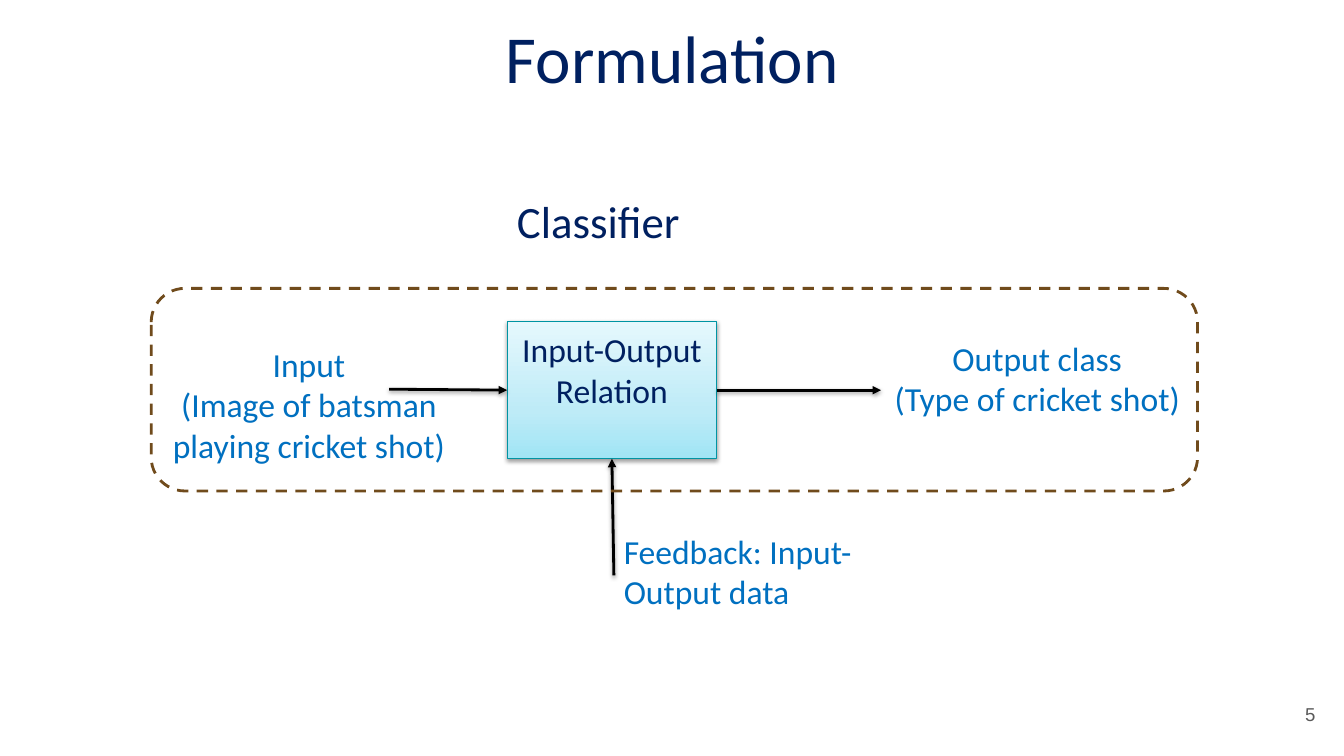
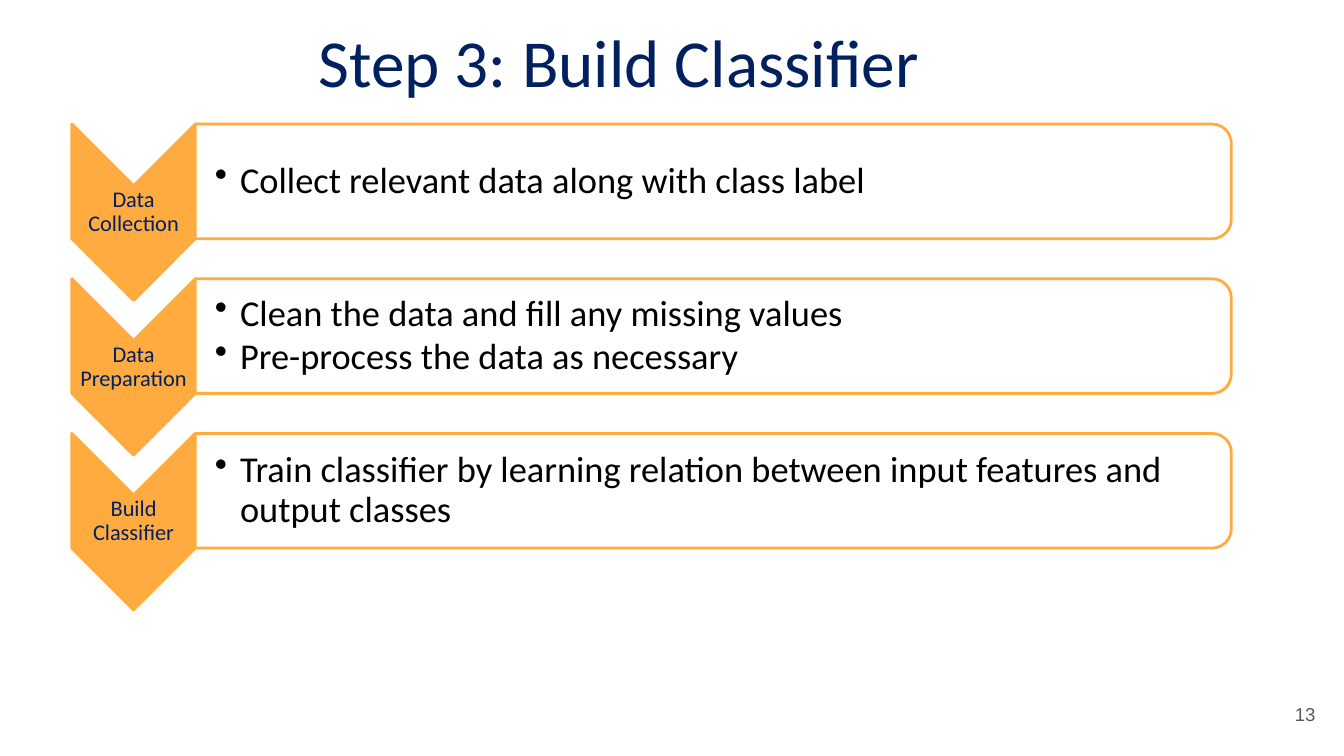
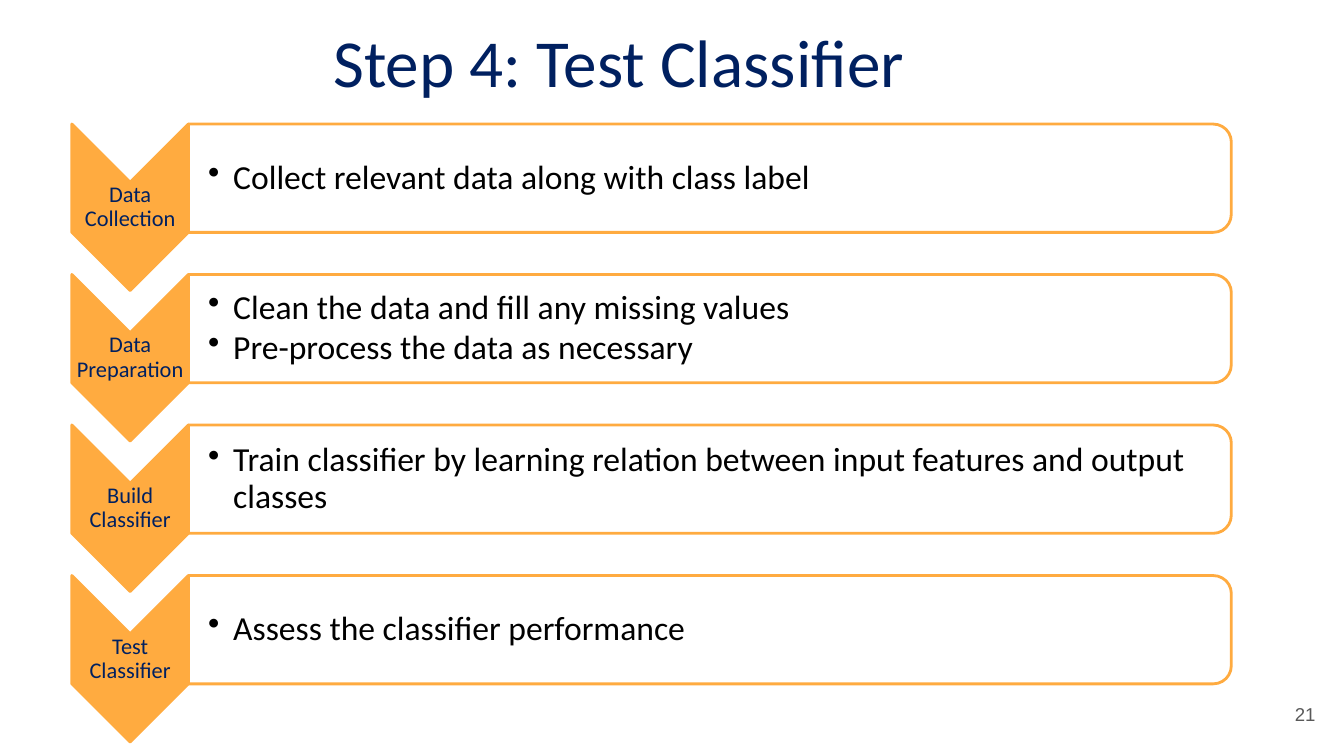
from copy import deepcopy
from dataclasses import dataclass

from lxml.etree import SubElement
from pptx import Presentation
from pptx.dml.color import RGBColor
from pptx.enum.dml import MSO_LINE
from pptx.enum.shapes import MSO_CONNECTOR, MSO_SHAPE
from pptx.enum.text import MSO_ANCHOR, PP_ALIGN
from pptx.oxml.ns import qn
from pptx.util import Pt


@dataclass(frozen=True)
class Theme:
    # Colours
    navy: str = "002060"
    blue: str = "0070C0"
    black: str = "000000"
    white: str = "FFFFFF"
    grey: str = "595959"
    orange: str = "FFAB40"
    brown: str = "704B1C"
    teal: str = "0094A3"
    gradient: tuple = ((0, "A0E5F5"), (0.35, "BEEBF7"), (1, "E5F8FD"))
    # Fonts and type sizes
    font: str = "Calibri"
    number_font: str = "Arial"
    title_size: float = 48
    heading_size: float = 32
    text_size: float = 24
    label_size: float = 16
    number_size: float = 13.3
    # Lines
    line_width: float = 2
    thin_line: float = 0.75


THEME = Theme()
LEFT, CENTER, RIGHT = PP_ALIGN.LEFT, PP_ALIGN.CENTER, PP_ALIGN.RIGHT
DEFAULT_INSETS = (7.2, 3.6, 7.2, 3.6)


def color(value):
    return RGBColor.from_string(value)


class Deck:
    """Holds the presentation, its style and the current slide."""

    def __init__(self, theme):
        self.theme = theme
        self.presentation = Presentation()
        self.presentation.slide_width = Pt(960)
        self.presentation.slide_height = Pt(540)
        self.slide = None

    def new_slide(self, title, number, left=116.6, top=10.8):
        theme = self.theme
        self.slide = self.presentation.slides.add_slide(self.presentation.slide_layouts[6])
        self.text((889.2, 489.6, 57.6, 41), [str(number)], theme.number_size, theme.grey,
                  align=RIGHT, font=theme.number_font, middle=True, insets=(7.2,) * 4)
        self.text((left, top, 651, 65.8), [title], theme.title_size, theme.navy)

    def set_text(self, shape, lines, size, text_color, align=CENTER, font=None, middle=False,
                 wrap=True, insets=DEFAULT_INSETS, bullets=False, spacing=None, after=0):
        frame = shape.text_frame
        frame.word_wrap = wrap
        frame.vertical_anchor = MSO_ANCHOR.MIDDLE if middle else MSO_ANCHOR.TOP
        frame.margin_left, frame.margin_top, frame.margin_right, frame.margin_bottom = map(Pt, insets)
        for index, line in enumerate(lines):
            paragraph = frame.add_paragraph() if index else frame.paragraphs[0]
            if bullets:
                self.bullet(paragraph)
            paragraph.alignment = align
            if spacing:
                paragraph.line_spacing = spacing
                paragraph.space_after = Pt(after)
            run = paragraph.add_run()
            run.text = line
            run.font.name = font or self.theme.font
            run.font.size = Pt(size)
            run.font.color.rgb = color(text_color)

    def bullet(self, paragraph):
        properties = paragraph._p.get_or_add_pPr()
        properties.set("marL", str(Pt(18)))
        properties.set("indent", str(-Pt(18)))
        bullet_color = SubElement(properties, qn("a:buClr"))
        SubElement(bullet_color, qn("a:srgbClr"), val=self.theme.black)
        SubElement(properties, qn("a:buChar"), char="•")

    def text(self, box, lines, size, text_color, **options):
        shape = self.slide.shapes.add_textbox(*map(Pt, box))
        self.set_text(shape, lines, size, text_color, **options)

    def shape(self, kind, box, line, fill=None, width=None):
        shape = self.slide.shapes.add_shape(kind, *map(Pt, box))
        shape.shadow.inherit = False
        if fill:
            shape.fill.solid()
            shape.fill.fore_color.rgb = color(fill)
        else:
            shape.fill.background()
        shape.line.color.rgb = color(line)
        shape.line.width = Pt(width or self.theme.line_width)
        return shape

    def turned_shape(self, kind, box, fill):
        """Draws a shape turned by 90 degrees that covers the given box."""
        left, top, width, height = box
        shift = (width - height) / 2
        shape = self.shape(kind, (left + shift, top - shift, height, width), self.theme.orange, fill)
        shape.rotation = 90
        return shape

    def gradient(self, shape):
        shape.fill.gradient()
        shape.fill.gradient_angle = 90
        stop_list = shape._element.spPr.find(qn("a:gradFill")).find(qn("a:gsLst"))
        stop_list.append(deepcopy(stop_list[0]))
        for stop, (position, value) in zip(shape.fill.gradient_stops, self.theme.gradient):
            stop.position = position
            stop.color.rgb = color(value)

    def soft_shadow(self, shape):
        properties = shape._element.spPr
        effects = properties.find(qn("a:effectLst"))
        if effects is None:
            effects = SubElement(properties, qn("a:effectLst"))
        shadow = SubElement(effects, qn("a:outerShdw"), blurRad=str(Pt(3.1)),
                            dist=str(Pt(1.6)), dir="5400000", rotWithShape="0")
        shadow_color = SubElement(shadow, qn("a:srgbClr"), val=self.theme.black)
        SubElement(shadow_color, qn("a:alpha"), val="38000")

    def arrow(self, start, end, begin_at=None, end_at=None):
        connector = self.slide.shapes.add_connector(MSO_CONNECTOR.STRAIGHT, *map(Pt, start + end))
        if begin_at:
            connector.begin_connect(*begin_at)
        if end_at:
            connector.end_connect(*end_at)
        connector.line.color.rgb = color(self.theme.black)
        connector.line.width = Pt(self.theme.line_width)
        SubElement(connector._element.spPr.find(qn("a:ln")), qn("a:tailEnd"), type="triangle")
        self.soft_shadow(connector)

    def chevron_list(self, steps, length, pitch, size):
        """Stacks chevrons, each with a label and a panel of bullets."""
        theme = self.theme
        left, top, right = 51.3, 88.6, 879.5
        breadth, panel_height = 0.7 * length, 0.65 * length
        panel_left = left + breadth
        panel_width = right - panel_left
        for index, (label, lines) in enumerate(steps):
            y = top + index * pitch
            self.turned_shape(MSO_SHAPE.CHEVRON, (left, y, breadth, length), theme.orange)
            self.text((left, y + breadth / 2, breadth, length - breadth), [label],
                      theme.label_size, theme.navy, middle=True, insets=(0.8,) * 4,
                      spacing=0.9, after=5.6)
            panel = self.turned_shape(MSO_SHAPE.ROUND_2_SAME_RECTANGLE,
                                      (panel_left, y, panel_width, panel_height), theme.white)
            panel_color = panel._element.spPr.find(qn("a:solidFill"))[0]
            SubElement(panel_color, qn("a:alpha"), val="90000")
            self.text((panel_left, y + 4, panel_width - 4, panel_height - 8), lines,
                      size, theme.black, align=LEFT, middle=True,
                      insets=(14, 1.2, 1.2, 1.2), bullets=True, spacing=0.9, after=3)


STEPS = [
    ("Data Collection", ["Collect relevant data along with class label"]),
    ("Data Preparation", ["Clean the data and fill any missing values",
                          "Pre-process the data as necessary"]),
    ("Build Classifier", ["Train classifier by learning relation between input features "
                          "and output classes"]),
    ("Test Classifier", ["Assess the classifier performance"]),
]


def formulation(deck):
    theme = deck.theme
    deck.new_slide("Formulation", 5, left=154.8, top=7.9)

    # Input, output and heading
    deck.text((108, 242, 225.4, 94.3), ["Input", "(Image of batsman playing cricket shot)"],
              theme.text_size, theme.blue)
    deck.text((630, 237.6, 221.8, 65.5), ["Output class", "(Type of cricket shot)"],
              theme.text_size, theme.blue, wrap=False)
    deck.text((362.2, 134.6, 131.8, 46), ["Classifier"], theme.heading_size, theme.navy,
              align=LEFT, wrap=False)

    # Relation box
    relation = deck.shape(MSO_SHAPE.RECTANGLE, (362.2, 229.7, 149.8, 98), theme.teal,
                          width=theme.thin_line)
    deck.gradient(relation)
    deck.soft_shadow(relation)
    deck.set_text(relation, ["Input-Output Relation"], theme.text_size, theme.navy, middle=True,
                  insets=(7.2, 3.6, 7.2, 33))

    # Arrows
    deck.arrow((278, 278), (362.2, 278.7), end_at=(relation, 1))
    deck.arrow((512, 278.7), (629.3, 278.7), begin_at=(relation, 3))
    deck.arrow((438.5, 411), (437.1, 327.7), end_at=(relation, 2))

    # Feedback and classifier frame
    deck.text((438.5, 375.8, 187.2, 65.5), ["Feedback: Input-Output data"],
              theme.text_size, theme.blue, align=LEFT)
    frame = deck.shape(MSO_SHAPE.ROUNDED_RECTANGLE, (108, 206, 747.4, 144.7), theme.brown)
    frame.line.dash_style = MSO_LINE.DASH


def main():
    deck = Deck(THEME)
    formulation(deck)

    deck.new_slide("Step 3: Build Classifier", 13)
    deck.chevron_list(STEPS[:3], length=126, pitch=110.5, size=26)

    deck.new_slide("Step 4: Test Classifier", 21)
    deck.chevron_list(STEPS, length=119, pitch=107.5, size=24)

    deck.presentation.save("out.pptx")


if __name__ == "__main__":
    main()
